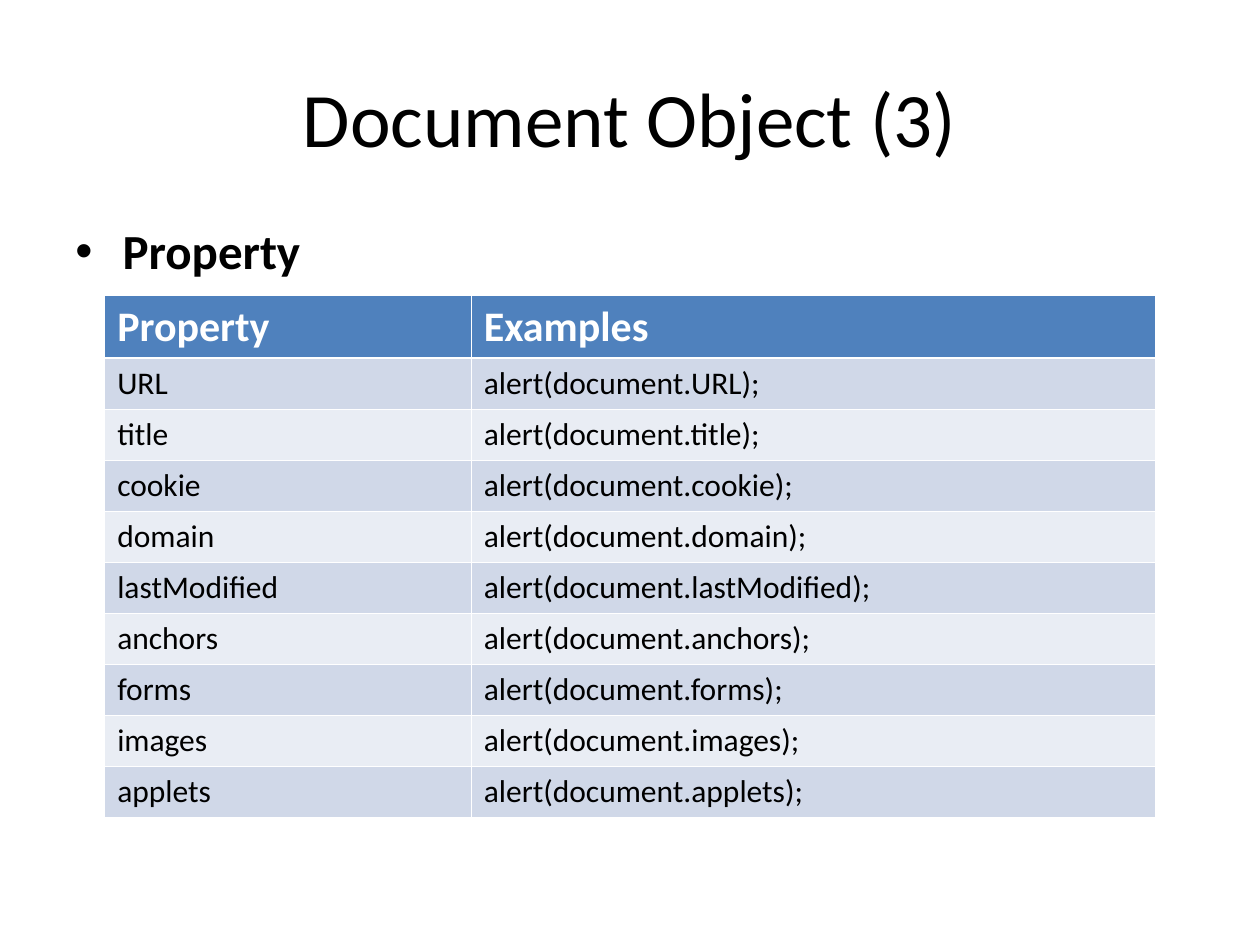
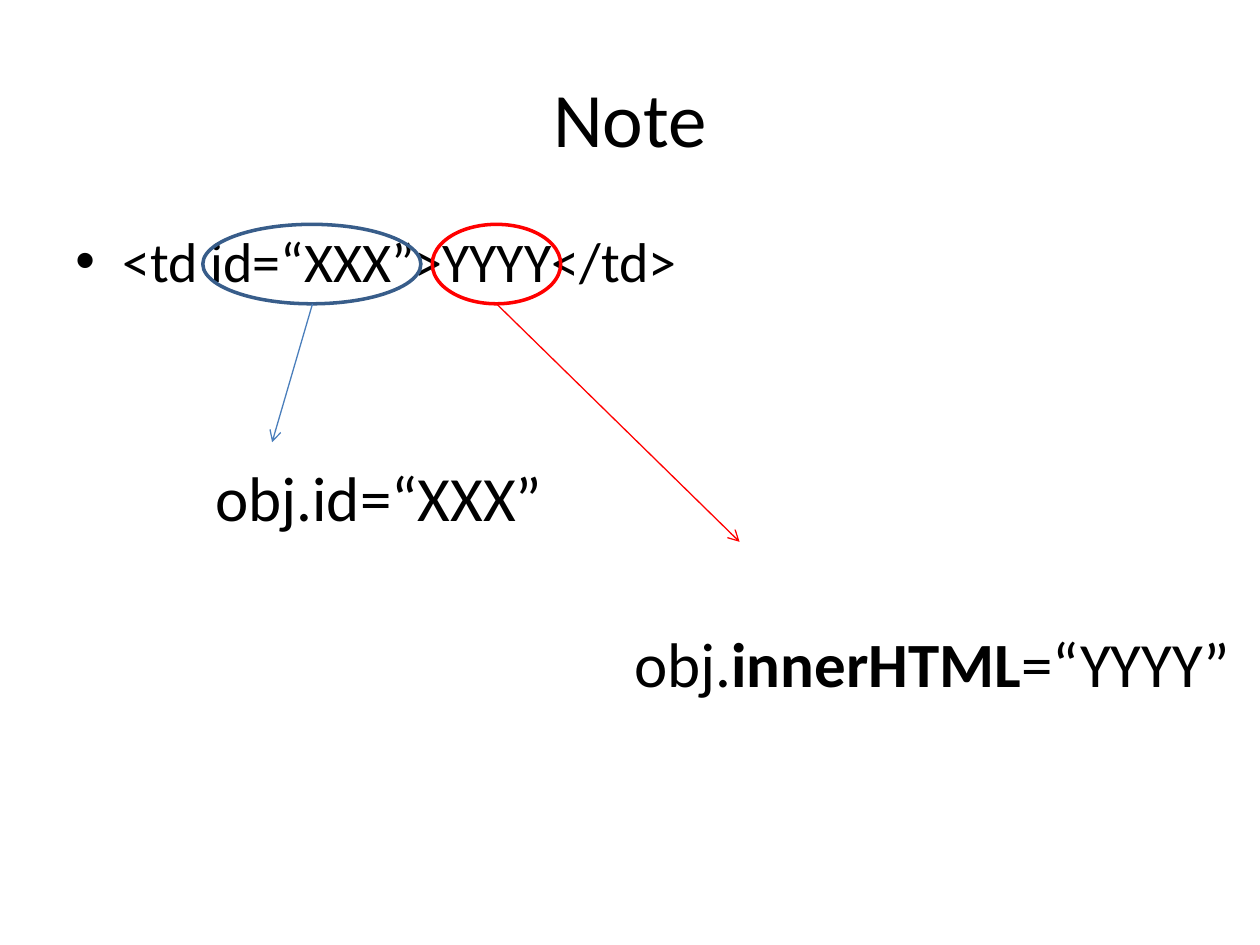
from typing import NamedTuple

from lxml import etree
from pptx import Presentation
from pptx.dml.color import RGBColor
from pptx.enum import shapes, text
from pptx.oxml import ns
from pptx.util import Pt

FONT = "Calibri"
BLACK, WHITE, RED = "000000", "FFFFFF", "FF0000"
HEADER_BLUE, OVAL_BLUE, ARROW_BLUE = "4F81BD", "385D8A", "4A7EBB"
BANDS = ("D0D8E8", "E9EDF4")
THIN, THICK = 0.45, 1.47
TITLE_BOX = (36, 21.6, 648, 90)
BODY_BOX = (36, 126, 648, 356.4)
TABLE_LEFT, TABLE_TOP = 59.8, 168.5
COLUMN_WIDTHS = (209.5, 391)
HEADER_HEIGHT, ROW_HEIGHT = 36, 29.2
BULLET_INDENT = 27
OVAL_TOP, OVAL_HEIGHT = 128.2, 45.4
PROPERTIES = ("URL", "title", "cookie", "domain", "lastModified",
              "anchors", "forms", "images", "applets")


class TextRun(NamedTuple):
    words: str
    bold: bool = False


class Callout(NamedTuple):
    """An oval round part of the tag, with an arrow to its script form."""
    oval_left: float
    oval_width: float
    oval_color: str
    arrow_color: str
    arrow_start: float
    arrow_end: tuple[float, float]
    label_box: tuple[float, float, float, float]
    label: list[TextRun]


CALLOUTS = (
    Callout(115.9, 124.6, OVAL_BLUE, ARROW_BLUE, 178.6, (155.5, 252.7),
            (97.2, 258.5, 238.3, 50.4), [TextRun("obj.id=“XXX”")]),
    Callout(247, 73.4, RED, RED, 283.7, (422.6, 309.6),
            (354.2, 353.5, 357.1, 50.4),
            [TextRun("obj."), TextRun("innerHTML", True), TextRun("=“YYYY”")]),
)


def color(hex_code: str) -> RGBColor:
    return RGBColor.from_string(hex_code)


def write_runs(paragraph, runs: list[TextRun], size: float, hex_code: str = BLACK) -> None:
    for item in runs:
        run = paragraph.add_run()
        run.text = item.words
        run.font.name = FONT
        run.font.size = Pt(size)
        run.font.bold = item.bold
        run.font.color.rgb = color(hex_code)


def add_titled_slide(presentation, title: str):
    slide = presentation.slides.add_slide(presentation.slide_layouts[5])
    shape = slide.shapes.title
    shape.left, shape.top, shape.width, shape.height = map(Pt, TITLE_BOX)
    shape.text_frame.vertical_anchor = text.MSO_ANCHOR.MIDDLE
    paragraph = shape.text_frame.paragraphs[0]
    paragraph.alignment = text.PP_ALIGN.CENTER
    write_runs(paragraph, [TextRun(title)], 44)
    return slide


def add_text(slide, box: tuple, runs: list[TextRun], size: float):
    shape = slide.shapes.add_textbox(*map(Pt, box))
    shape.text_frame.word_wrap = True
    paragraph = shape.text_frame.paragraphs[0]
    write_runs(paragraph, runs, size)
    return paragraph


def add_bullet(slide, run: TextRun, size: float):
    paragraph = add_text(slide, BODY_BOX, [run], size)
    properties = paragraph._p.get_or_add_pPr()
    properties.set("marL", str(Pt(BULLET_INDENT)))
    properties.set("indent", str(-Pt(BULLET_INDENT)))
    etree.SubElement(properties, ns.qn("a:buFont"), typeface="Arial")
    etree.SubElement(properties, ns.qn("a:buChar"), char="•")
    return paragraph


def set_borders(cell, top: float, bottom: float) -> None:
    properties = cell._tc.get_or_add_tcPr()
    for side, width in (("L", THIN), ("R", THIN), ("T", top), ("B", bottom)):
        line = etree.SubElement(properties, ns.qn(f"a:ln{side}"), w=str(Pt(width)))
        fill = etree.SubElement(line, ns.qn("a:solidFill"))
        etree.SubElement(fill, ns.qn("a:srgbClr"), val=WHITE)


def add_property_table(slide) -> None:
    rows = [("Property", "Examples")]
    rows += [(name, f"alert(document.{name});") for name in PROPERTIES]
    height = HEADER_HEIGHT + ROW_HEIGHT * len(PROPERTIES)
    table = slide.shapes.add_table(
        len(rows), len(COLUMN_WIDTHS), Pt(TABLE_LEFT), Pt(TABLE_TOP),
        Pt(sum(COLUMN_WIDTHS)), Pt(height)).table
    for column, width in zip(table.columns, COLUMN_WIDTHS):
        column.width = Pt(width)
    for index, values in enumerate(rows):
        header = index == 0
        table.rows[index].height = Pt(HEADER_HEIGHT if header else ROW_HEIGHT)
        for cell, words in zip(table.rows[index].cells, values):
            set_borders(cell, THICK if index == 1 else THIN, THICK if header else THIN)
            cell.fill.solid()
            cell.fill.fore_color.rgb = color(HEADER_BLUE if header else BANDS[(index - 1) % 2])
            write_runs(cell.text_frame.paragraphs[0], [TextRun(words, header)],
                       24 if header else 18, WHITE if header else BLACK)


def add_arrow(slide, start: tuple, end: tuple, hex_code: str) -> None:
    arrow = slide.shapes.add_connector(
        shapes.MSO_CONNECTOR.STRAIGHT, *map(Pt, start + end))
    arrow.line.color.rgb = color(hex_code)
    arrow.line.width = Pt(0.75)
    etree.SubElement(arrow.line._get_or_add_ln(), ns.qn("a:tailEnd"), type="arrow")
    etree.SubElement(arrow._element.spPr, ns.qn("a:effectLst"))


def add_callout(slide, callout: Callout) -> None:
    oval = slide.shapes.add_shape(
        shapes.MSO_SHAPE.OVAL, Pt(callout.oval_left), Pt(OVAL_TOP),
        Pt(callout.oval_width), Pt(OVAL_HEIGHT))
    oval.shadow.inherit = False
    oval.fill.background()
    oval.line.color.rgb = color(callout.oval_color)
    oval.line.width = Pt(2)
    add_arrow(slide, (callout.arrow_start, OVAL_TOP + OVAL_HEIGHT),
              callout.arrow_end, callout.arrow_color)
    paragraph = add_text(slide, callout.label_box, callout.label, 36)
    paragraph.alignment = text.PP_ALIGN.CENTER


def main() -> None:
    presentation = Presentation()
    presentation.slide_width, presentation.slide_height = Pt(720), Pt(540)

    # Document properties
    slide = add_titled_slide(presentation, "Document Object (3)")
    add_bullet(slide, TextRun("Property", True), 28).line_spacing = 0.9
    add_property_table(slide)

    # Tag parts and their script forms
    slide = add_titled_slide(presentation, "Note")
    add_bullet(slide, TextRun("<td id=“XXX”>YYYY</td>"), 32)
    for callout in CALLOUTS:
        add_callout(slide, callout)

    presentation.save("out.pptx")


if __name__ == "__main__":
    main()
